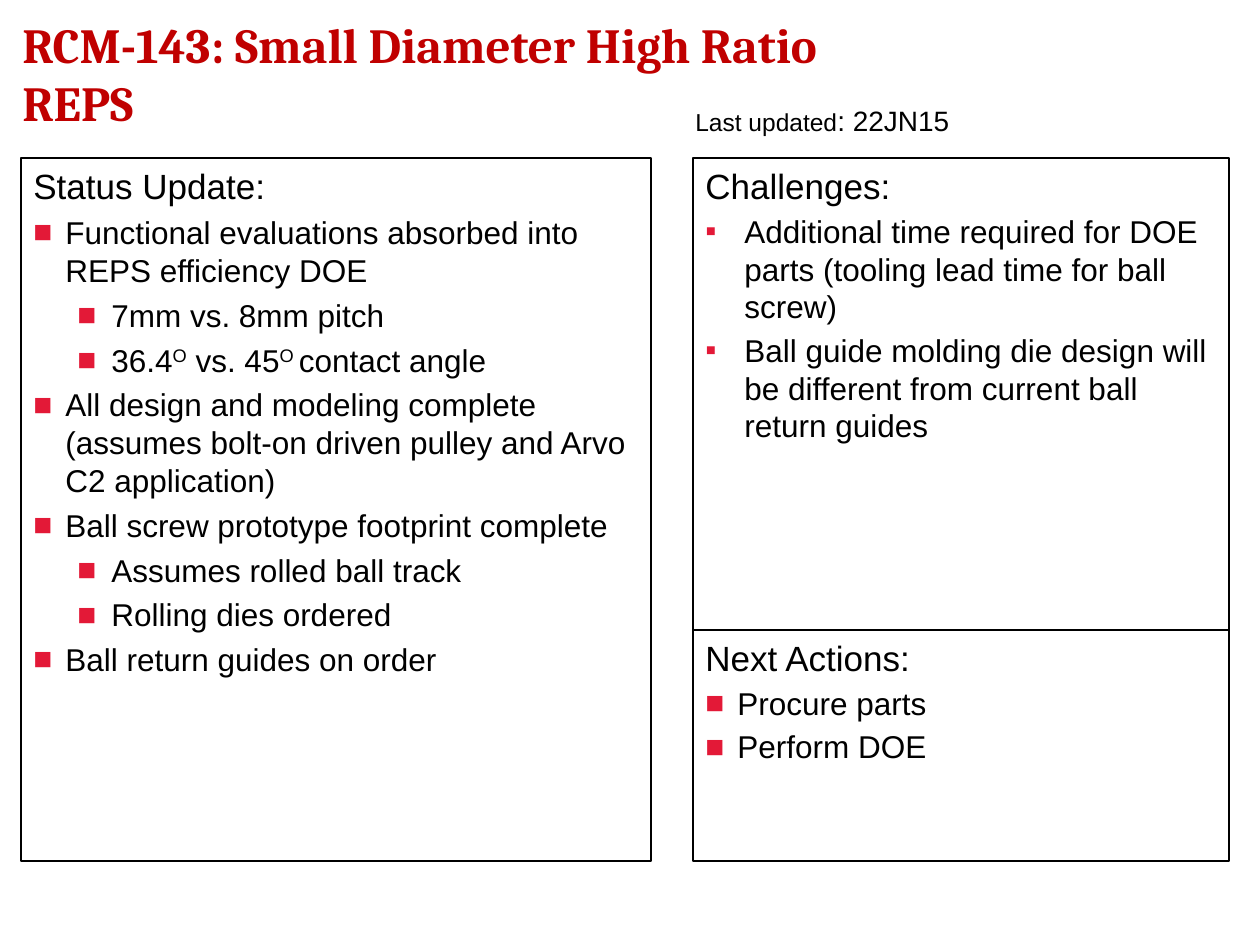
from lxml.etree import SubElement
from pptx import Presentation
from pptx.dml.color import RGBColor
from pptx.enum.shapes import MSO_SHAPE
from pptx.enum.text import MSO_ANCHOR, PP_ALIGN
from pptx.oxml.ns import qn
from pptx.util import Emu, Pt

PX = 914400 / 126
COLORS = {"text": "000000", "title": "C00000", "bullet": "E31937"}


def px(value):
    return Emu(round(value * PX))


def add_span(para, text, size, color="text", font="Arial", bold=False):
    span = para.add_run()
    span.text = text
    span.font.name = font
    span.font.size = Pt(size)
    span.font.bold = bold
    span.font.color.rgb = RGBColor.from_string(COLORS[color])
    return span


deck = Presentation()
deck.slide_width, deck.slide_height = px(1260), px(945)
page = deck.slides.add_slide(deck.slide_layouts[6])

# Panels: position, heading, space before, bullet sign, hanging indent,
# left indent per level, then (level, text); text between ^ is raised
panels = [
    ((21, 158, 630, 703), "Status Update:", 4, "■", 34, (32, 78), [
        (0, "Functional evaluations absorbed into REPS efficiency DOE"),
        (1, "7mm vs. 8mm pitch"),
        (1, "36.4^O^ vs. 45^O ^contact angle"),
        (0, "All design and modeling complete (assumes bolt-on driven pulley and Arvo C2 application)"),
        (0, "Ball screw prototype footprint complete"),
        (1, "Assumes rolled ball track"),
        (1, "Rolling dies ordered"),
        (0, "Ball return guides on order"),
    ]),
    ((693, 158, 536, 472), "Challenges:", 3.2, "▪", 39, (39,), [
        (0, "Additional time required for DOE parts (tooling lead time for ball screw)"),
        (0, "Ball guide molding die design will be different from current ball return guides"),
    ]),
    ((693, 630, 536, 231), "Next Actions:", 3.2, "■", 38, (32,), [
        (0, "Procure parts"),
        (0, "Perform DOE"),
    ]),
]
for place, heading, space, sign, hanging, indents, items in panels:
    panel = page.shapes.add_shape(MSO_SHAPE.RECTANGLE, *map(px, place))
    panel.shadow.inherit = False
    panel.fill.background()
    panel.line.color.rgb = RGBColor.from_string(COLORS["text"])
    panel.line.width = Pt(0.75)
    frame = panel.text_frame
    frame.word_wrap = True
    frame.vertical_anchor = MSO_ANCHOR.TOP
    frame.paragraphs[0].alignment = PP_ALIGN.LEFT
    add_span(frame.paragraphs[0], heading, 20)
    for level, text in items:
        para = frame.add_paragraph()
        para.level = level
        para.alignment = PP_ALIGN.LEFT
        para.space_before = Pt(space)
        properties = para._p.get_or_add_pPr()
        properties.set("marL", str(px(indents[level])))
        properties.set("indent", str(-px(hanging)))
        bullet_color = SubElement(properties, qn("a:buClr"))
        SubElement(bullet_color, qn("a:srgbClr"), val=COLORS["bullet"])
        SubElement(properties, qn("a:buFont"), typeface="Arial")
        SubElement(properties, qn("a:buChar"), char=sign)
        for index, part in enumerate(text.split("^")):
            span = add_span(para, part, 18)
            if index % 2:
                span.font._element.set("baseline", "30000")

# Date of the last update
date_box = page.shapes.add_textbox(px(683), px(97), px(504), px(50))
date_box.text_frame.word_wrap = True
date_para = date_box.text_frame.paragraphs[0]
add_span(date_para, "Last updated", 14)
add_span(date_para, ": 22JN15", 16)

# Title
title_box = page.shapes.add_textbox(px(10), px(10), px(840), px(126))
title_box.text_frame.word_wrap = True
title_box.text_frame.vertical_anchor = MSO_ANCHOR.MIDDLE
add_span(title_box.text_frame.paragraphs[0], "RCM-143: Small Diameter High Ratio REPS",
         28, "title", "Cambria", True)

deck.save("out.pptx")
